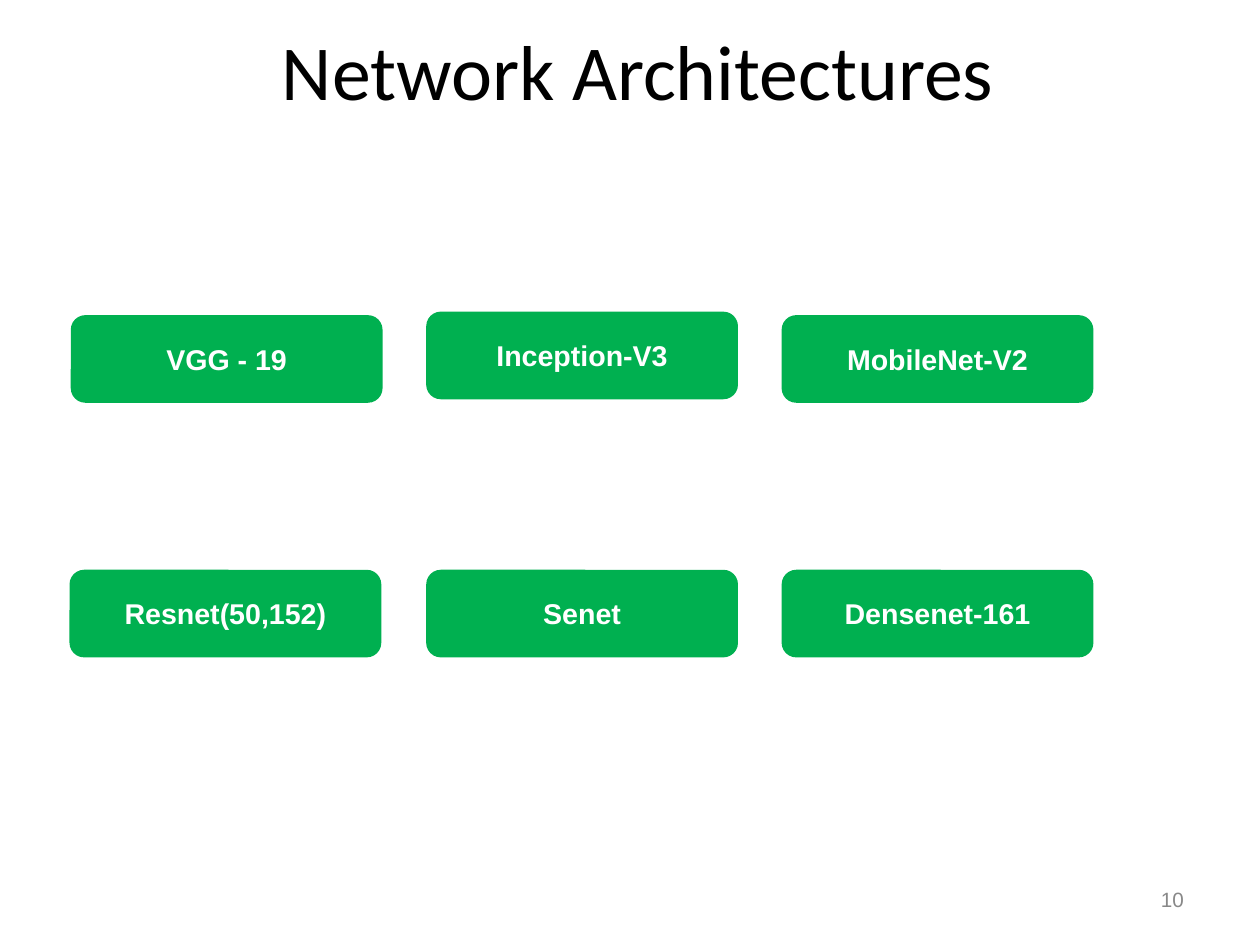
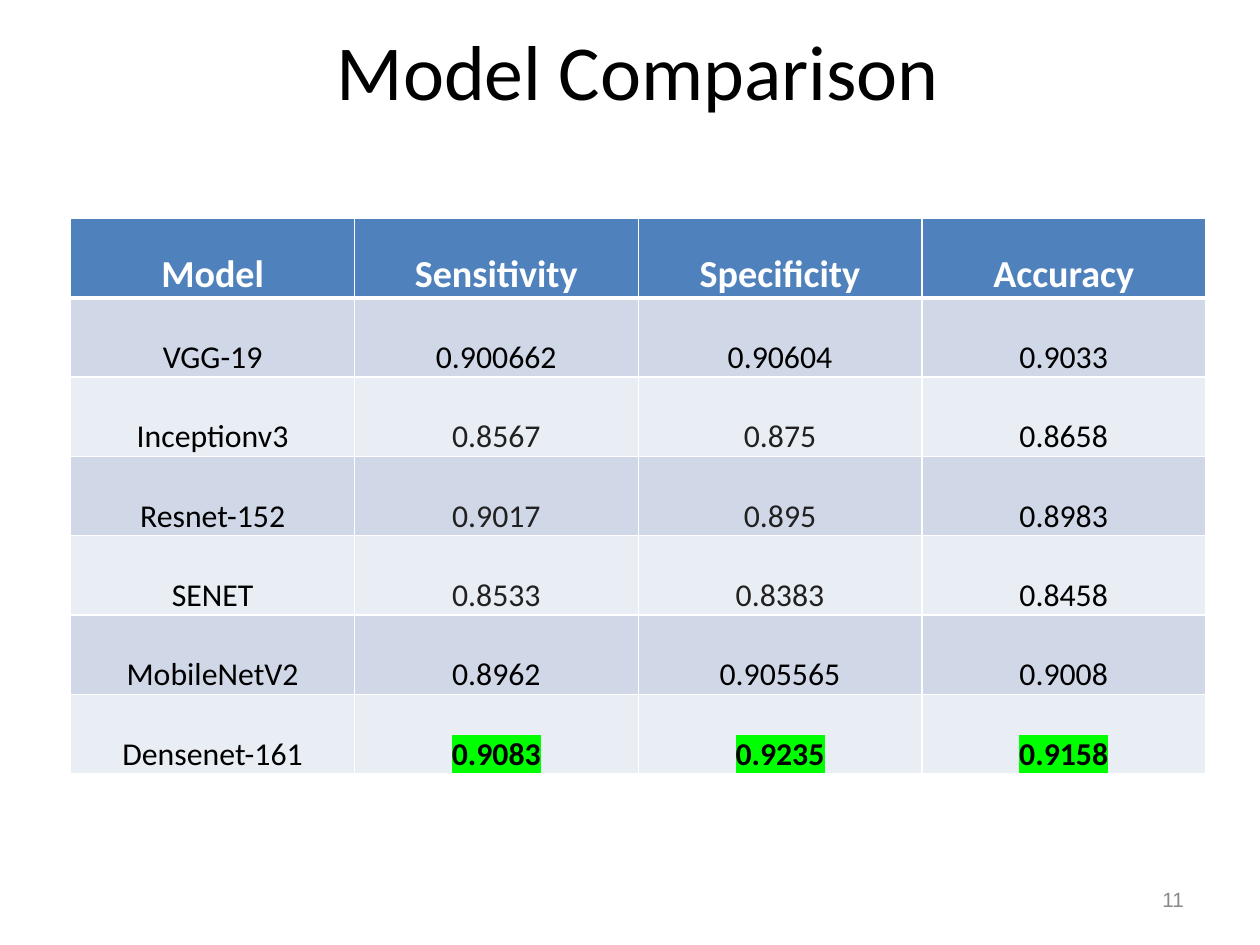
from pptx import Presentation
from pptx.dml.color import RGBColor
from pptx.enum.shapes import MSO_SHAPE as Shape
from pptx.enum.text import MSO_ANCHOR as Anchor, PP_ALIGN as Align
from pptx.oxml.ns import qn
from pptx.util import Pt
from lxml.etree import SubElement as sub, Element

WHITE, BLACK, GREY, DARK = "FFFFFF", "000000", "888888", "212121"
GREEN, LIME, BLUE = "00B050", "00FF00", "4F81BD"
BANDS = ("D0D8E8", "E9EDF4")
WIDE, HIGH = 793.75, 595.25
TITLE = (44.6, 14.4, 714.2, 59)
NUMBER = (568.8, 551.7, 185, 31.7)
GRID = (44.6, 198.5, 644.2, 215.6)
TABLE = (44.6, 137.5, 715, 350)

NETS = (
    (("VGG - 19", 0, 0), ("Inception-V3", 0, -2.2), ("MobileNet-V2", 0, 0)),
    (("Resnet(50,152)", -0.8, 0), ("Senet", 0, 0), ("Densenet-161", 0, 0)),
)
SCORES = (
    ("Model", "Sensitivity", "Specificity", "Accuracy"),
    ("VGG-19", "0.900662", "0.90604", "0.9033"),
    ("Inceptionv3", "0.8567", "0.875", "0.8658"),
    ("Resnet-152", "0.9017", "0.895", "0.8983"),
    ("SENET", "0.8533", "0.8383", "0.8458"),
    ("MobileNetV2", "0.8962", "0.905565", "0.9008"),
    ("Densenet-161", "0.9083", "0.9235", "0.9158"),
)


def paint(target, color):
    """Give a fill one solid hex colour."""
    target.solid()
    target.fore_color.rgb = RGBColor.from_string(color)


def write(frame, text, size=18, font="Arial", color=BLACK, bold=False,
          align=Align.CENTER, space=None, mark=None):
    """Put one formatted line of text into a text frame."""
    par = frame.paragraphs[0]
    par.alignment = align
    if space:
        par.line_spacing = space
    run = par.add_run()
    run.text = text
    run.font.size, run.font.name, run.font.bold = Pt(size), font, bold
    paint(run.font.fill, color)
    if mark:
        glow = Element(qn("a:highlight"))
        sub(glow, qn("a:srgbClr"), val=mark)
        run.font._element.find(qn("a:solidFill")).addnext(glow)


def label(slide, box, text, **style):
    """Add a text box with centred height and standard insets."""
    frame = slide.shapes.add_textbox(*map(Pt, box)).text_frame
    frame.word_wrap = True
    frame.vertical_anchor = Anchor.MIDDLE
    frame.margin_left = frame.margin_right = Pt(8)
    frame.margin_top = frame.margin_bottom = Pt(4)
    write(frame, text, **style)


def start(deck, title, number):
    """Add a slide with the shared title and page number."""
    slide = deck.slides.add_slide(deck.slide_layouts[6])
    label(slide, TITLE, title, size=49, font="Calibri")
    label(slide, NUMBER, str(number), size=13, color=GREY,
          align=Align.RIGHT, space=0.93)
    return slide


def tiles(slide, box, rows, wide=196.4, high=55.2):
    """Spread rounded tiles evenly over a box."""
    left, top, width, height = box
    across = (width - wide) / (len(rows[0]) - 1)
    down = (height - high) / (len(rows) - 1)
    for r, row in enumerate(rows):
        for c, (name, dx, dy) in enumerate(row):
            place = (left + c * across + dx, top + r * down + dy, wide, high)
            tile = slide.shapes.add_shape(Shape.ROUNDED_RECTANGLE, *map(Pt, place))
            tile.shadow.inherit = False
            paint(tile.fill, GREEN)
            tile.line.fill.background()
            tile.text_frame.vertical_anchor = Anchor.MIDDLE
            write(tile.text_frame, name, color=WHITE, bold=True)


def edge(cell, top, bottom):
    """Draw white borders round a cell."""
    props = cell._tc.get_or_add_tcPr()
    sides = (("L", 1), ("R", 1), ("T", top), ("B", bottom))
    for i, (side, width) in enumerate(sides):
        line = Element(qn("a:ln" + side), w=str(Pt(width)))
        sub(sub(line, qn("a:solidFill")), qn("a:srgbClr"), val=WHITE)
        props.insert(i, line)


def look(r, c):
    """Return the text format for a table position."""
    if r == 0:
        return dict(size=24, color=WHITE, bold=True)
    best = r == len(SCORES) - 1 and c > 0
    soft = r in (2, 3, 4) and c in (1, 2)
    return dict(size=20, color=DARK if soft else BLACK, bold=best,
                mark=LIME if best else None)


def scores(slide, box, rows):
    """Fill a box with the table of scores."""
    grid = slide.shapes.add_table(len(rows), len(rows[0]), *map(Pt, box)).table
    for col in grid.columns:
        col.width = Pt(box[2] / len(rows[0]))
    for r, row in enumerate(rows):
        grid.rows[r].height = Pt(box[3] / len(rows))
        for c, text in enumerate(row):
            cell = grid.cell(r, c)
            cell.vertical_anchor = Anchor.BOTTOM
            cell.margin_left = cell.margin_right = cell.margin_top = Pt(0.7)
            cell.margin_bottom = 0
            paint(cell.fill, BANDS[(r - 1) % 2] if r else BLUE)
            edge(cell, 3 if r == 1 else 1, 3 if r == 0 else 1)
            write(cell.text_frame, text, font="Calibri", **look(r, c))


def main():
    """Build and save the two slides."""
    deck = Presentation()
    deck.slide_width, deck.slide_height = Pt(WIDE), Pt(HIGH)
    tiles(start(deck, "Network Architectures", 10), GRID, NETS)
    scores(start(deck, "Model Comparison", 11), TABLE, SCORES)
    deck.save("out.pptx")


if __name__ == "__main__":
    main()
